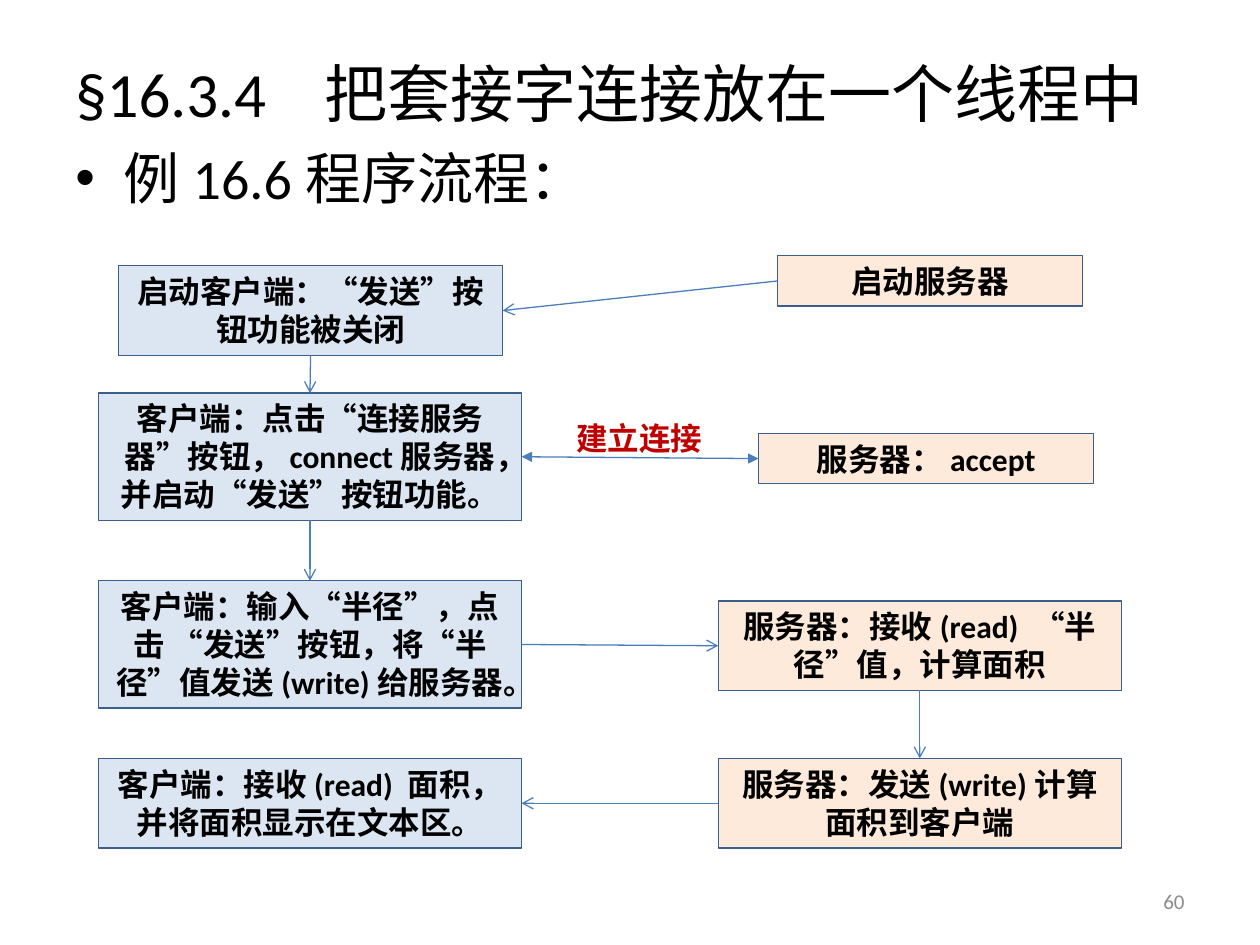
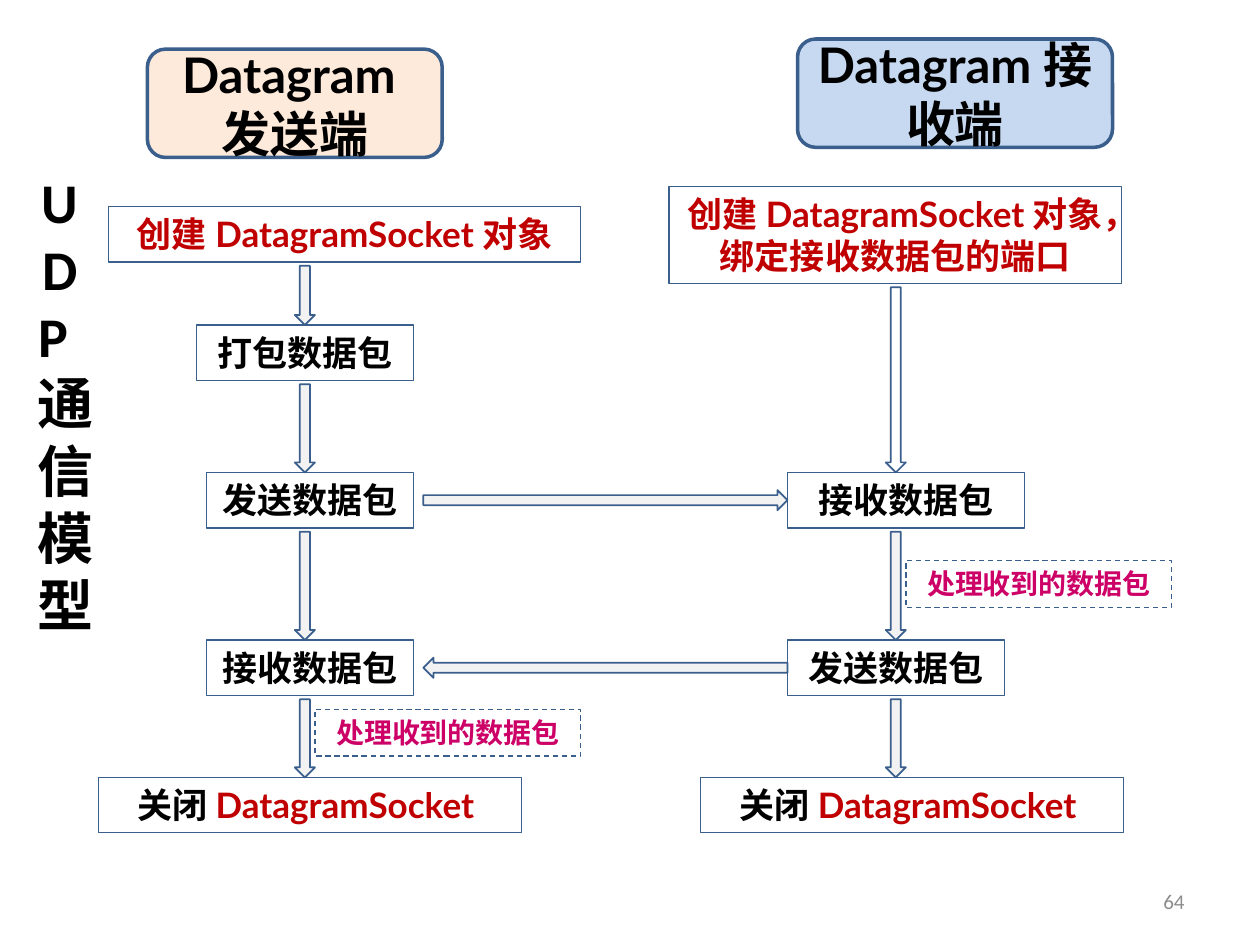
from itertools import pairwise

from lxml.etree import SubElement
from pptx import Presentation
from pptx.dml.color import RGBColor
from pptx.enum.dml import MSO_LINE
from pptx.enum.shapes import MSO_CONNECTOR, MSO_SHAPE as SHP
from pptx.enum.text import MSO_ANCHOR as ANC, MSO_AUTO_SIZE as FIT, PP_ALIGN as AL
from pptx.oxml.ns import qn
from pptx.util import Inches, Pt

# Shared look
BLACK, RED, PINK, GREY = "000000", "C00000", "CC0066", "8C8C8C"
EDGE, WIRE, ARROW_FILL = "3A5F8C", "4B7EBC", "F2F2F2"
PALE_BLUE, PALE_ORANGE, MID_BLUE = "DCE6F2", "FDEADA", "C6D9F1"
LATIN, LATO, CJK = "Calibri", "Lato", "Noto Sans CJK SC"
TOP, LEFT, BOTTOM, RIGHT = range(4)

# Slide 1: name -> (box, fill, text)
FLOW_BOXES = {
    "start_server": ((6.17, 2.03, 2.42, 0.4), PALE_ORANGE, "启动服务器"),
    "start_client": ((0.94, 2.11, 3.05, 0.71), PALE_BLUE,
                     "启动客户端：“发送”按钮功能被关闭"),
    "connect": ((0.78, 3.12, 3.36, 1.01), PALE_BLUE,
                "客户端：点击“连接服务器”按钮，connect服务器，并启动“发送”按钮功能。"),
    "accept": ((6.02, 3.44, 2.66, 0.4), PALE_ORANGE, "服务器：accept"),
    "send_radius": ((0.78, 4.61, 3.36, 1.01), PALE_BLUE,
                    "客户端：输入“半径”，点击 “发送”按钮，将“半径”值发送(write)给服务器。"),
    "read_radius": ((5.7, 4.77, 3.2, 0.71), PALE_ORANGE,
                    "服务器：接收(read) “半径”值，计算面积"),
    "send_area": ((5.7, 6.02, 3.2, 0.71), PALE_ORANGE,
                  "服务器：发送(write)计算面积到客户端"),
    "show_area": ((0.78, 6.02, 3.36, 0.71), PALE_BLUE,
                  "客户端：接收(read) 面积，并将面积显示在文本区。"),
}
# (from, side, to, side, arrowheads)
OPEN_END = {"tailEnd": "arrow"}
BOTH_ENDS = {"headEnd": "triangle", "tailEnd": "triangle"}
FLOW_LINKS = [
    ("connect", RIGHT, "accept", LEFT, BOTH_ENDS),
    ("start_server", LEFT, "start_client", RIGHT, OPEN_END),
    ("start_client", BOTTOM, "connect", TOP, OPEN_END),
    ("connect", BOTTOM, "send_radius", TOP, OPEN_END),
    ("send_radius", RIGHT, "read_radius", LEFT, OPEN_END),
    ("read_radius", BOTTOM, "send_area", TOP, OPEN_END),
    ("send_area", LEFT, "show_area", RIGHT, OPEN_END),
]

# Slide 2: heads, then one column of steps per side; runs are (text, colour, font)
HEADS = [
    ((1.17, 0.39, 2.34, 0.86), PALE_ORANGE,
     [("Datagram", BLACK, LATO), ("发送端", BLACK, LATIN)]),
    ((6.33, 0.31, 2.5, 0.86), MID_BLUE, [("Datagram接收端", BLACK, LATO)]),
]
CLOSE = [("关闭", BLACK, LATIN), ("DatagramSocket ", RED, LATO)]
SEND = [("发送数据包", BLACK, LATIN)]
RECEIVE = [("接收数据包", BLACK, LATIN)]
STEP_H = 0.44
SEND_Y, REPLY_Y, CLOSE_Y = 3.75, 5.08, 6.17
COLUMNS = [  # (arrow axis, steps)
    (2.42, [
        ((0.86, 1.64, 3.75, STEP_H), [("创建DatagramSocket对象", RED, LATO)]),
        ((1.56, 2.58, 1.72, STEP_H), [("打包数据包", BLACK, LATIN)]),
        ((1.64, SEND_Y, 1.64, STEP_H), SEND),
        ((1.64, REPLY_Y, 1.64, STEP_H), RECEIVE),
        ((0.78, CLOSE_Y, 3.36, STEP_H), CLOSE),
    ]),
    (7.11, [
        ((5.31, 1.48, 3.59, 0.77),
         [("创建DatagramSocket对象，绑定接收数据包的端口", RED, LATO)]),
        ((6.25, SEND_Y, 1.88, STEP_H), RECEIVE),
        ((6.25, REPLY_Y, 1.72, STEP_H), SEND),
        ((5.56, CLOSE_Y, 3.36, STEP_H), CLOSE),
    ]),
]
MESSAGES = [(SHP.RIGHT_ARROW, SEND_Y), (SHP.LEFT_ARROW, REPLY_Y)]
MESSAGE_X, MESSAGE_W = 3.36, 2.89
ARROW_W, ARROW_GAP = 0.16, 0.03
NOTES = [(7.19, 4.45), (2.5, 5.63)]
NOTE_TEXT = [("处理收到的数据包", PINK, LATIN)]


def rgb(value):
    return RGBColor.from_string(value)


def put_text(s, runs, size, bold=True, align=AL.CENTER, anchor=ANC.TOP, grow=False):
    """Write runs of (text, colour, font) as one paragraph and return it."""
    tf = s.text_frame
    tf.word_wrap = True
    tf.vertical_anchor = anchor
    tf.auto_size = FIT.SHAPE_TO_FIT_TEXT if grow else FIT.NONE
    p = tf.paragraphs[0]
    p.alignment = align
    for text, color, font in runs:
        r = p.add_run()
        r.text = text
        r.font.size = Pt(size)
        r.font.bold = bold
        r.font.color.rgb = rgb(color)
        r.font.name = font
        SubElement(r.font._element, qn("a:ea"), typeface=CJK)
    return p


def add_text(slide, box, runs, size, **style):
    return put_text(slide.shapes.add_textbox(*map(Inches, box)), runs, size, **style)


def add_shape(slide, kind, box, fill=None, width=0.75):
    s = slide.shapes.add_shape(kind, *map(Inches, box))
    s.shadow.inherit = False
    if fill:
        s.fill.solid()
        s.fill.fore_color.rgb = rgb(fill)
    else:
        s.fill.background()
    s.line.color.rgb = rgb(EDGE)
    s.line.width = Pt(width)
    return s


def add_box(slide, box, runs, size, fill=None):
    s = add_shape(slide, SHP.RECTANGLE, box, fill)
    put_text(s, runs, size, grow=True)
    return s


def link(slide, start, start_side, end, end_side, heads):
    c = slide.shapes.add_connector(MSO_CONNECTOR.STRAIGHT, 0, 0, 0, 0)
    c.begin_connect(start, start_side)
    c.end_connect(end, end_side)
    c.line.color.rgb = rgb(WIRE)
    c.line.width = Pt(0.75)
    ln = c.line._get_or_add_ln()
    for tag, kind in heads.items():
        SubElement(ln, qn(f"a:{tag}"), type=kind)
    SubElement(c._element.spPr, qn("a:effectLst"))


def new_slide(prs, number):
    slide = prs.slides.add_slide(prs.slide_layouts[6])
    add_text(slide, (7.17, 6.95, 2.33, 0.4), [(number, GREY, LATIN)], 12,
             bold=False, align=AL.RIGHT, anchor=ANC.MIDDLE)
    return slide


def build_flow(prs):
    slide = new_slide(prs, "60")
    title = [("§16.3.4   ", BLACK, LATIN), ("把套接字连接放在一个线程中", BLACK, CJK)]
    add_text(slide, (0.5, 0.3, 9, 0.87), title, 36,
             bold=False, align=AL.LEFT, anchor=ANC.MIDDLE)
    p = add_text(slide, (0.5, 1.09, 9, 5.61), [("例16.6程序流程：", BLACK, LATIN)], 32,
                 bold=False, align=AL.LEFT)
    p.space_before = Pt(6.4)
    pPr = p._p.get_or_add_pPr()
    pPr.set("marL", str(Inches(0.38)))
    pPr.set("indent", str(Inches(-0.38)))
    SubElement(pPr, qn("a:buFont"), typeface="Arial")
    SubElement(pPr, qn("a:buChar"), char="•")

    boxes = {name: add_box(slide, box, [(text, BLACK, LATIN)], 18, fill)
             for name, (box, fill, text) in FLOW_BOXES.items()}
    for start, start_side, end, end_side, heads in FLOW_LINKS:
        link(slide, boxes[start], start_side, boxes[end], end_side, heads)
    add_text(slide, (4.37, 3.28, 1.41, 0.4), [("建立连接", RED, LATIN)], 18, grow=True)


def build_udp_model(prs):
    slide = new_slide(prs, "64")
    add_text(slide, (0.2, 0.89, 0.55, 4.61), [("UDP通信模型", BLACK, LATIN)], 32,
             anchor=ANC.MIDDLE)
    for box, fill, runs in HEADS:
        s = add_shape(slide, SHP.ROUNDED_RECTANGLE, box, fill, 2)
        put_text(s, runs, 28, anchor=ANC.MIDDLE)

    for axis, steps in COLUMNS:
        for box, runs in steps:
            add_box(slide, box, runs, 20)
        for (upper, _), (lower, _) in pairwise(steps):
            y = upper[1] + upper[3] + ARROW_GAP
            fill = None if upper[3] > STEP_H else ARROW_FILL
            add_shape(slide, SHP.DOWN_ARROW,
                      (axis - ARROW_W / 2, y, ARROW_W, lower[1] - y), fill, 1)
    for kind, y in MESSAGES:
        middle = y + (STEP_H - ARROW_W) / 2
        add_shape(slide, kind, (MESSAGE_X, middle, MESSAGE_W, ARROW_W), ARROW_FILL, 1)
    for x, y in NOTES:
        s = add_box(slide, (x, y, 2.11, 0.37), NOTE_TEXT, 16)
        s.line.dash_style = MSO_LINE.DASH


def main():
    prs = Presentation()
    prs.slide_width, prs.slide_height = Inches(10), Inches(7.5)
    build_flow(prs)
    build_udp_model(prs)
    prs.save("out.pptx")


if __name__ == "__main__":
    main()
